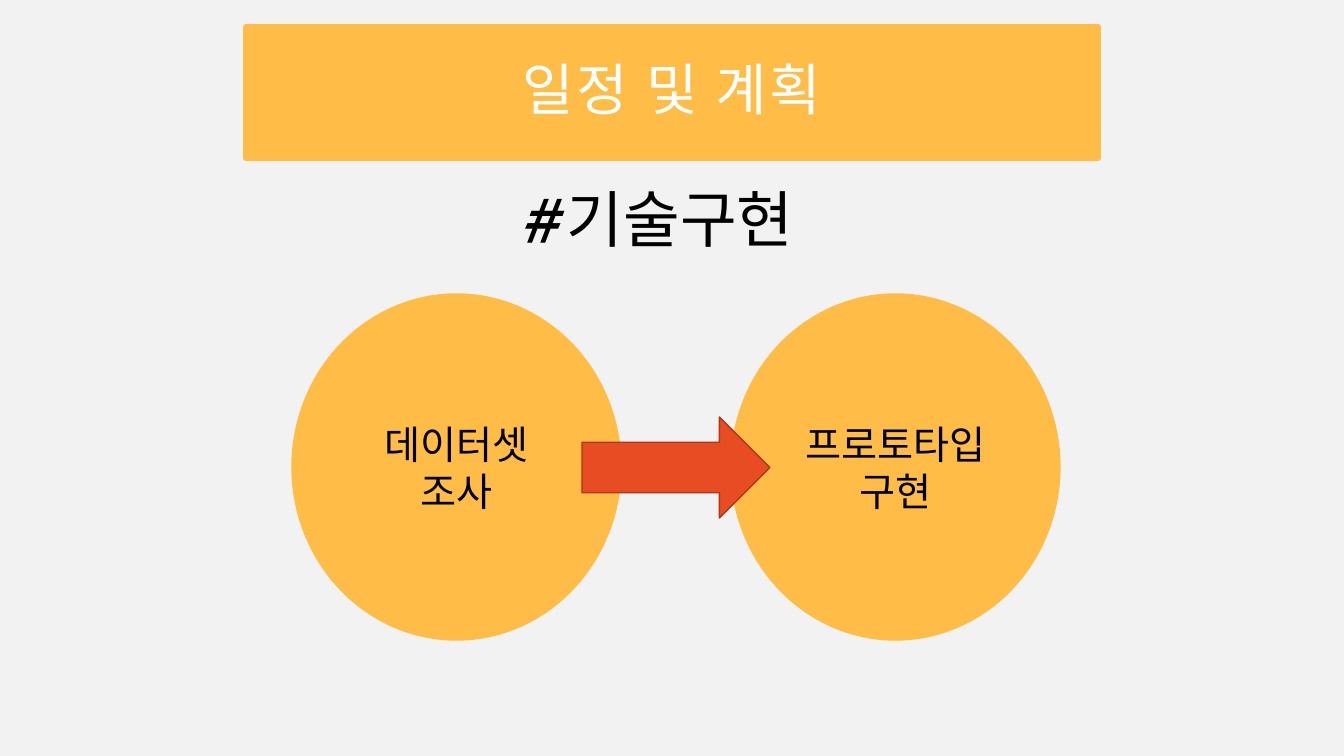
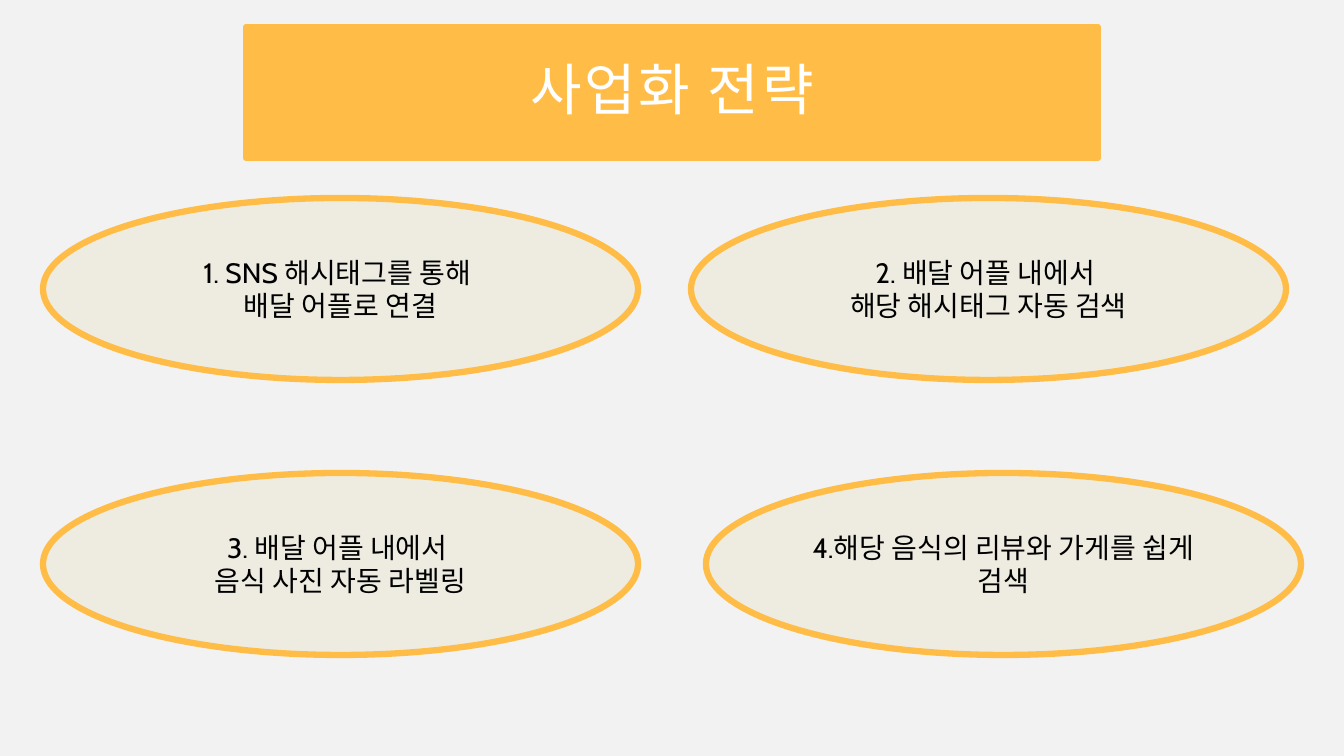
import pptx
import pptx.util
import pptx.dml.color
import pptx.enum.shapes
import pptx.enum.text

KIND = pptx.enum.shapes.MSO_SHAPE
ANCHOR = pptx.enum.text.MSO_ANCHOR
FIT = pptx.enum.text.MSO_AUTO_SIZE
WIDE, HIGH = 1344, 756
SCALE = 12192000 / WIDE

FONT = "Cabin"
AMBER, RED, RUST = "FFBD47", "E84C22", "AC3819"
CREAM, GREY, WHITE, BLACK = "EEECE1", "F2F2F2", "FFFFFF", "000000"


def px(size):
    return pptx.util.Emu(round(size * SCALE))


def color(code):
    return pptx.dml.color.RGBColor.from_string(code)


class Deck:
    def __init__(self):
        self.show = pptx.Presentation()
        self.show.slide_width, self.show.slide_height = px(WIDE), px(HIGH)
        back = self.show.slide_master.background.fill
        back.solid()
        back.fore_color.rgb = color(GREY)
        self.slide = None

    def paint(self, shape, fill, line, width):
        shape.fill.solid()
        shape.fill.fore_color.rgb = color(fill)
        shape.line.color.rgb = color(line)
        shape.line.width = pptx.util.Pt(width)

    def letter(self, shape, text, size, tint=BLACK):
        """Put centred, styled text in a shape and return its frame."""
        frame = shape.text_frame
        frame.text = text
        frame.word_wrap = True
        for para in frame.paragraphs:
            para.alignment = pptx.enum.text.PP_ALIGN.CENTER
            for run in para.runs:
                run.font.name = FONT
                run.font.size = pptx.util.Pt(size)
                run.font.color.rgb = color(tint)
        return frame

    def page(self, text):
        """Start a slide with its title band."""
        self.slide = self.show.slides.add_slide(self.show.slide_layouts[5])
        band = self.slide.shapes.title
        band.left, band.top, band.width, band.height = map(px, (246, 27, 852, 131))
        self.paint(band, AMBER, AMBER, 4.5)
        frame = self.letter(band, text, 40, WHITE)
        frame.auto_size = FIT.NONE
        frame.vertical_anchor = ANCHOR.MIDDLE
        frame.margin_left = frame.margin_right = px(20)
        frame.margin_top = frame.margin_bottom = px(20)
        para = frame.paragraphs[0]
        para.line_spacing = 0.9
        para.runs[0].font._element.set("spc", "200")

    def shape(self, kind, box, fill, line, width):
        item = self.slide.shapes.add_shape(kind, *map(px, box))
        item.shadow.inherit = False
        self.paint(item, fill, line, width)
        return item

    def oval(self, box, text, size, fill, width):
        item = self.shape(KIND.FLOWCHART_CONNECTOR, box, fill, AMBER, width)
        self.letter(item, text, size).vertical_anchor = ANCHOR.MIDDLE

    def label(self, box, text, size):
        item = self.slide.shapes.add_textbox(*map(px, box))
        self.letter(item, text, size).auto_size = FIT.SHAPE_TO_FIT_TEXT

    def arrow(self, box):
        self.shape(KIND.RIGHT_ARROW, box, RED, RUST, 1)


def plan(deck):
    deck.page("일정 및 계획")
    deck.label((292, 176, 733, 85), "#기술구현", 44)
    for left, text in ((292, "데이터셋 조사"), (731, "프로토타입 구현")):
        deck.oval((left, 294, 329, 346), text, 28, AMBER, 1)
    deck.arrow((582, 417, 188, 101))


def market(deck):
    deck.page("사업화 전략")
    steps = (
        (43, 198, "1. SNS 해시태그를 통해 \n배달 어플로 연결"),
        (691, 198, "2. 배달 어플 내에서 \n해당 해시태그 자동 검색"),
        (43, 473, "3. 배달 어플 내에서 \n음식 사진 자동 라벨링"),
        (706, 473, "4.해당 음식의 리뷰와 가게를 쉽게 검색"),
    )
    for left, top, text in steps:
        deck.oval((left, top, 595, 182), text, 20, CREAM, 4.5)


def main():
    deck = Deck()
    plan(deck)
    market(deck)
    deck.show.save("out.pptx")


if __name__ == "__main__":
    main()
